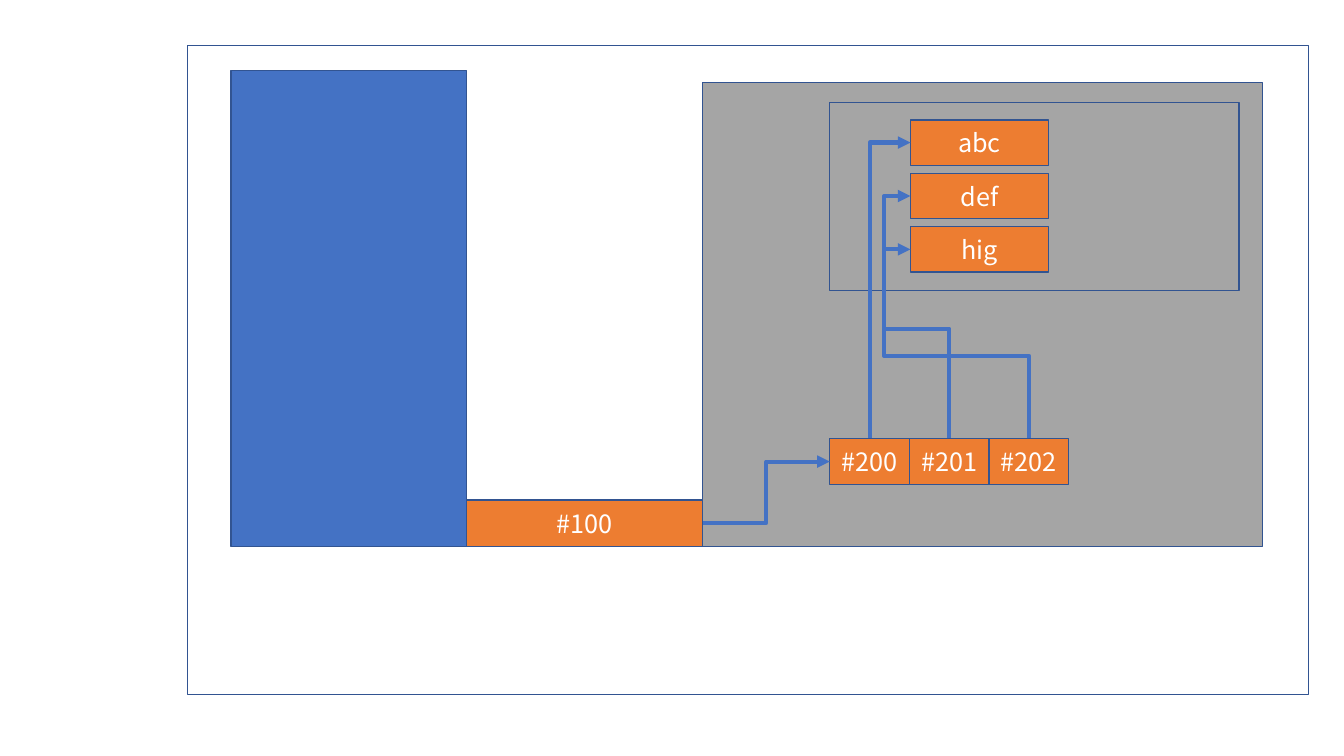
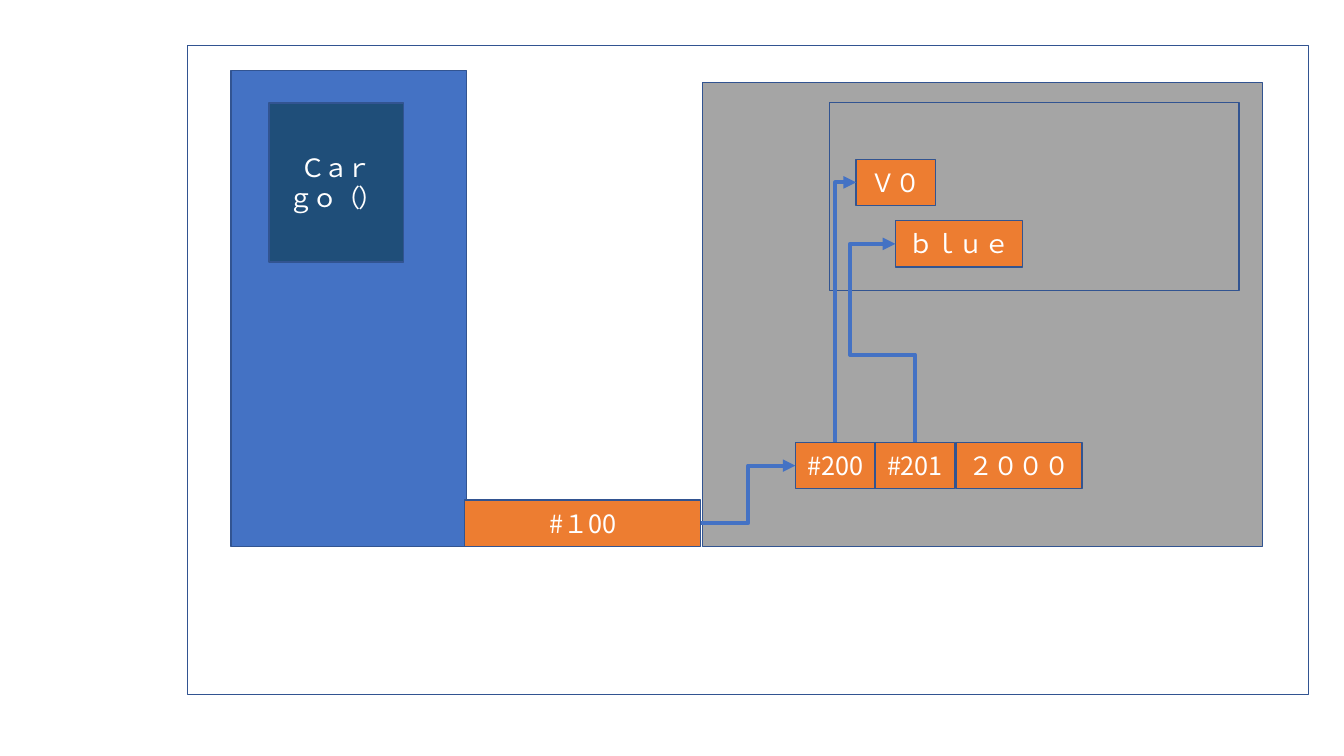
from lxml import etree
from pptx import Presentation
from pptx.dml.color import RGBColor
from pptx.enum import shapes, text
from pptx.oxml import ns
from pptx.util import Inches, Pt

COLOURS = {
    "stack": "4472C4",
    "heap": "A5A5A5",
    "cell": "ED7D31",
    "method": "1F4E79",
    "outline": "325491",
    "arrow": "4472C4",
    "label": "FFFFFF",
}
FONT = "Noto Sans CJK KR"
TOP, LEFT, RIGHT = 0, 1, 3  # connection sites of a rectangle
CELL_WIDTH, CELL_HEIGHT = 0.79, 0.46


def colour(name):
    return RGBColor.from_string(COLOURS[name])


def add_child(parent, tag, **values):
    child = etree.SubElement(parent, ns.qn(tag))
    for name, value in values.items():
        child.set(name, str(value))
    return child


# Boxes and their labels
def add_label(box, lines, spacing):
    frame = box.text_frame
    frame.vertical_anchor = text.MSO_ANCHOR.MIDDLE
    for number, line in enumerate(lines):
        para = frame.add_paragraph() if number else frame.paragraphs[0]
        para.alignment = text.PP_ALIGN.CENTER
        span = para.add_run()
        span.text = line
        for name, value in {"size": Pt(18), "name": FONT}.items():
            setattr(span.font, name, value)
        span.font.color.rgb = colour("label")
        properties = span.font._element
        add_child(properties, "a:ea", typeface=FONT)
        if spacing:
            properties.set("spc", str(spacing))


def add_box(page, left, top, width, height, fill=None, lines=(), spacing=0):
    box = page.shapes.add_shape(
        shapes.MSO_SHAPE.RECTANGLE,
        Inches(left), Inches(top), Inches(width), Inches(height))
    box.shadow.inherit = False
    if fill:
        box.fill.solid()
        box.fill.fore_color.rgb = colour(fill)
    else:
        box.fill.background()
    box.line.color.rgb = colour("outline")
    box.line.width = Pt(1)
    add_label(box, lines, spacing)
    return box


def add_cell(page, label, left, top, width=CELL_WIDTH, height=CELL_HEIGHT):
    return add_box(page, left, top, width, height, "cell", [label])


# Reference arrows
def add_arrow(page, source, source_site, target):
    arrow = page.shapes.add_connector(shapes.MSO_CONNECTOR.ELBOW, 0, 0, 0, 0)
    arrow.begin_connect(source, source_site)
    arrow.end_connect(target, LEFT)
    arrow.line.color.rgb = colour("arrow")
    arrow.line.width = Pt(3)
    add_child(arrow.line._get_or_add_ln(), "a:tailEnd", type="triangle")
    add_child(arrow._element.spPr, "a:effectLst")
    return arrow


def add_rising_arrow(page, source, target, turn=None):
    """Leave upwards; turn holds the height and the lane of a detour."""
    arrow = add_arrow(page, source, TOP, target)
    start_x, start_y = arrow.begin_x, arrow.begin_y
    across, climb = arrow.end_x - start_x, start_y - arrow.end_y
    centre_x, centre_y = start_x + across / 2, start_y - climb / 2

    # A quarter turn swaps the width and height of the frame
    frame = {"width": climb, "height": abs(across),
             "left": centre_x - climb / 2, "top": centre_y - abs(across) / 2}
    for name, value in frame.items():
        setattr(arrow, name, int(value))
    properties = arrow._element.spPr
    transform = properties.find(ns.qn("a:xfrm"))
    for name in ("flipH", "flipV"):
        transform.attrib.pop(name, None)
    geometry = properties.find(ns.qn("a:prstGeom"))
    if turn is None:
        geometry.set("prst", "bentConnector2")
        transform.set("rot", "5400000")
        transform.set("flipH", "1")
    else:
        geometry.set("prst", "bentConnector4")
        transform.set("rot", "16200000")
        height, lane = (Inches(value) for value in turn)
        guides = geometry.find(ns.qn("a:avLst"))
        shares = ((start_y - height) / climb, (lane - start_x) / across)
        for number, share in enumerate(shares, 1):
            add_child(guides, "a:gd", name=f"adj{number}",
                      fmla=f"val {round(share * 100000)}")
    transform.set("flipV", "1")


# Shared memory areas
def add_memory(deck):
    page = deck.slides.add_slide(deck.slide_layouts[6])
    add_box(page, 1.86, 0.45, 11.12, 6.44)
    add_box(page, 2.29, 0.7, 2.34, 4.72, "stack")
    add_box(page, 6.97, 0.82, 5.55, 4.6, "heap")
    add_box(page, 8.23, 1.02, 4.06, 1.86, "heap")
    return page


def build_string_array(deck):
    page = add_memory(deck)
    variable = add_cell(page, "#100", 4.63, 4.96, 2.34)
    slots = [add_cell(page, label, 8.23 + number * CELL_WIDTH, 4.35)
             for number, label in enumerate(("#200", "#201", "#202"))]
    values = [add_cell(page, label, 9.03, 1.19 + number * 0.53, 1.37, 0.45)
              for number, label in enumerate(("abc", "def", "hig"))]
    add_arrow(page, variable, RIGHT, slots[0])
    turns = (None, (3.26, 8.77), (3.53, 8.77))
    for slot, value, turn in zip(slots, values, turns):
        add_rising_arrow(page, slot, value, turn)


def build_car_object(deck):
    page = add_memory(deck)
    add_box(page, 2.67, 1.02, 1.33, 1.58, "method",
            ["Ｃａｒ", "ｇｏ（）"], spacing=-150)
    variable = add_cell(page, "#１00", 4.61, 4.96, 2.34)
    model_slot = add_cell(page, "#200", 7.89, 4.39)
    colour_slot = add_cell(page, "#201", 8.68, 4.39)
    add_cell(page, "２０００", 9.48, 4.39, 1.25)
    model = add_cell(page, "Ｖ０", 8.49, 1.58)
    paint = add_cell(page, "ｂｌｕｅ", 8.88, 2.19, 1.26)
    add_arrow(page, variable, RIGHT, model_slot)
    add_rising_arrow(page, model_slot, model)
    add_rising_arrow(page, colour_slot, paint, (3.52, 8.43))


def main():
    deck = Presentation()
    deck.slide_width, deck.slide_height = Inches(13.33), Inches(7.5)
    build_string_array(deck)
    build_car_object(deck)
    deck.save("out.pptx")


main()
